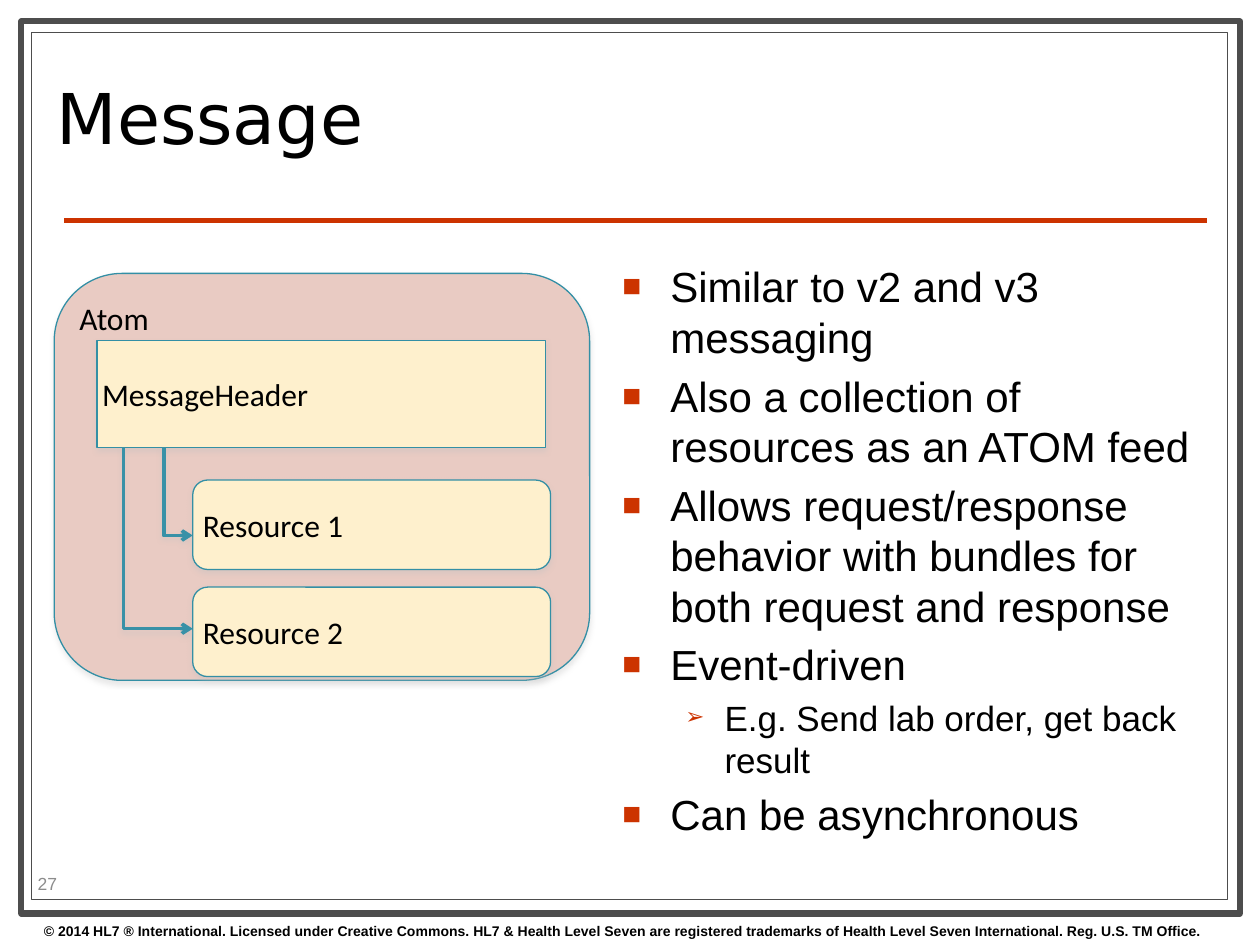
from lxml import etree
from pptx import Presentation
from pptx.dml.color import RGBColor
from pptx.enum.shapes import MSO_CONNECTOR, MSO_SHAPE
from pptx.enum.text import MSO_ANCHOR, MSO_AUTO_SIZE, PP_ALIGN
from pptx.oxml.ns import qn
from pptx.util import Inches, Pt

RECTANGLE, ROUNDED = MSO_SHAPE.RECTANGLE, MSO_SHAPE.ROUNDED_RECTANGLE
STRAIGHT = MSO_CONNECTOR.STRAIGHT
TOP, MIDDLE = MSO_ANCHOR.TOP, MSO_ANCHOR.MIDDLE
LEFT = PP_ALIGN.LEFT
NO_AUTOFIT = MSO_AUTO_SIZE.NONE

FRAME, ACCENT, TEAL, ELBOW = "4D4D4D", "CC3300", "338FA5", "3891A7"
ROSE, CREAM, BLACK, WHITE = "E9CBC3", "FEF0CD", "000000", "FFFFFF"
LABEL = {"name": "Calibri", "size": Pt(18)}
BULLETS = [
    {"char": "■", "percent": 75, "margin": 0.38, "hanging": 0.38, "size": 24},
    {"char": "➢", "percent": 65, "margin": 0.81, "hanging": 0.31, "size": 20},
]
POINTS = [
    (0, "Similar to v2 and v3 messaging"),
    (0, "Also a collection of resources as an ATOM feed"),
    (0, "Allows request/response behavior with bundles for both request and response"),
    (0, "Event-driven"),
    (1, "E.g. Send lab order, get back result"),
    (0, "Can be asynchronous"),
]
COPYRIGHT = (
    "© 2014 HL7 ® International. Licensed under Creative Commons. "
    "HL7 & Health Level Seven are registered trademarks of "
    "Health Level Seven International. Reg. U.S. TM Office."
)


def color(value):
    return RGBColor.from_string(value)


def add_node(parent, tag, **attributes):
    node = etree.SubElement(parent, qn(tag))
    for name, value in attributes.items():
        node.set(name, str(value))
    return node


def place(shape, position):
    for name, value in zip(("left", "top", "width", "height"), position):
        setattr(shape, name, Inches(value))


def set_font(font, formats, font_color=BLACK):
    for name, value in formats.items():
        setattr(font, name, value)
    font.color.rgb = color(font_color)


def set_text(shape, text, formats, font_color=BLACK, anchor=MIDDLE, inset=None):
    frame = shape.text_frame
    frame.word_wrap = True
    frame.auto_size = NO_AUTOFIT
    frame.vertical_anchor = anchor
    if inset is not None:
        for side in ("left", "right", "top", "bottom"):
            setattr(frame, f"margin_{side}", Inches(inset))
    para = frame.paragraphs[0]
    para.alignment = LEFT
    span = para.add_run()
    span.text = text
    set_font(span.font, formats, font_color)
    return para


def add_shadow(shape):
    shape.shadow.inherit = False
    effects = shape._element.spPr.find(qn("a:effectLst"))
    shadow = add_node(effects, "a:outerShdw", blurRad=Pt(3), dist=Pt(1.8),
                      dir=5400000, rotWithShape=0)
    tint = add_node(shadow, "a:srgbClr", val="C0C0C0")
    add_node(tint, "a:alpha", val=35000)


def add_box(page, kind, position, fill, line, width):
    box = page.shapes.add_shape(kind, *map(Inches, position))
    box.shadow.inherit = False
    box.fill.solid()
    box.fill.fore_color.rgb = color(fill)
    box.line.color.rgb = color(line)
    box.line.width = Pt(width)
    return box


def add_card(page, kind, position, fill):
    card = add_box(page, kind, position, fill, TEAL, 0.75)
    add_shadow(card)
    return card


def add_text(page, position, text, formats, **options):
    box = page.shapes.add_textbox(*map(Inches, position))
    set_text(box, text, formats, **options)


def add_elbow(page, left, top, right, bottom):
    points = [(Inches(x), Inches(y)) for x, y in
              ((left, top), (left, bottom), (right, bottom))]
    builder = page.shapes.build_freeform(*points[0])
    builder.add_line_segments(points[1:], close=False)
    elbow = builder.convert_to_shape()
    elbow.fill.background()
    elbow.line.color.rgb = color(ELBOW)
    elbow.line.width = Pt(2)
    add_node(elbow.line._get_or_add_ln(), "a:tailEnd", type="arrow")
    add_shadow(elbow)


def add_rule(page, left, right, height):
    rule = page.shapes.add_connector(
        STRAIGHT, Inches(left), Inches(height), Inches(right), Inches(height))
    rule.line.color.rgb = color(ACCENT)
    rule.line.width = Pt(3)
    add_node(rule._element.spPr, "a:effectLst")


def add_frame(page):
    add_box(page, RECTANGLE, (0.17, 0.17, 9.67, 7.08), WHITE, FRAME, 3.5)
    add_box(page, RECTANGLE, (0.25, 0.26, 9.49, 6.88), WHITE, FRAME, 0.75)
    add_rule(page, 0.51, 9.58, 1.75)
    add_text(page, (0.25, 7.27, 10, 0.23), COPYRIGHT,
             {"name": "Arial", "size": Pt(8), "bold": True}, anchor=TOP)
    add_text(page, (0.2, 6.89, 0.79, 0.24), "27",
             {"name": "Arial", "size": Pt(10)}, font_color="8C8C8C")


def fill_title(title):
    place(title, (0.35, 0.36, 7.17, 1.26))
    para = set_text(title, "Message", {"name": "DejaVu Sans", "size": Pt(40)})
    para.line_spacing = 0.8


def fill_list(body):
    place(body, (4.84, 2.02, 4.74, 4.88))
    frame = body.text_frame
    frame.auto_size = NO_AUTOFIT
    frame.vertical_anchor = TOP
    for index, (level, text) in enumerate(POINTS):
        para = frame.add_paragraph() if index else frame.paragraphs[0]
        bullet = BULLETS[level]
        para.text = text
        para.level = level
        properties = para._p.get_or_add_pPr()
        properties.set("marL", str(Inches(bullet["margin"])))
        properties.set("indent", str(-Inches(bullet["hanging"])))
        add_node(add_node(properties, "a:buClr"), "a:srgbClr", val=ACCENT)
        add_node(properties, "a:buSzPct", val=bullet["percent"] * 1000)
        add_node(properties, "a:buFont", typeface="Arial")
        add_node(properties, "a:buChar", char=bullet["char"])
        para.space_before = Pt(bullet["size"] * 0.2 if index else 0)
        formats = {"name": "Arial", "size": Pt(bullet["size"])}
        set_font(para.font, formats)
        set_font(para.runs[0].font, formats)


def add_diagram(page):
    add_card(page, ROUNDED, (0.43, 2.17, 4.25, 3.23), ROSE)
    add_text(page, (0.59, 2.33, 3.93, 0.39), "Atom", LABEL, anchor=TOP, inset=0.04)
    for number, top in enumerate((3.81, 4.66), 1):
        add_card(page, ROUNDED, (1.53, top, 2.84, 0.71), CREAM)
        add_text(page, (1.57, top + 0.16, 2.77, 0.39), f"Resource {number}",
                 LABEL, inset=0.04)
    header = add_card(page, RECTANGLE, (0.77, 2.7, 3.56, 0.85), CREAM)
    set_text(header, "MessageHeader", LABEL, inset=0.04)
    for left, bottom in ((1.3, 4.25), (0.98, 4.99)):
        add_elbow(page, left, 3.55, 1.53, bottom)


def main():
    deck = Presentation()
    deck.slide_width, deck.slide_height = Inches(10), Inches(7.5)
    page = deck.slides.add_slide(deck.slide_layouts[1])
    title, body = page.placeholders
    add_frame(page)
    for holder in (title, body):
        page.shapes._spTree.append(holder._element)
    fill_title(title)
    add_diagram(page)
    fill_list(body)
    deck.save("out.pptx")


if __name__ == "__main__":
    main()
